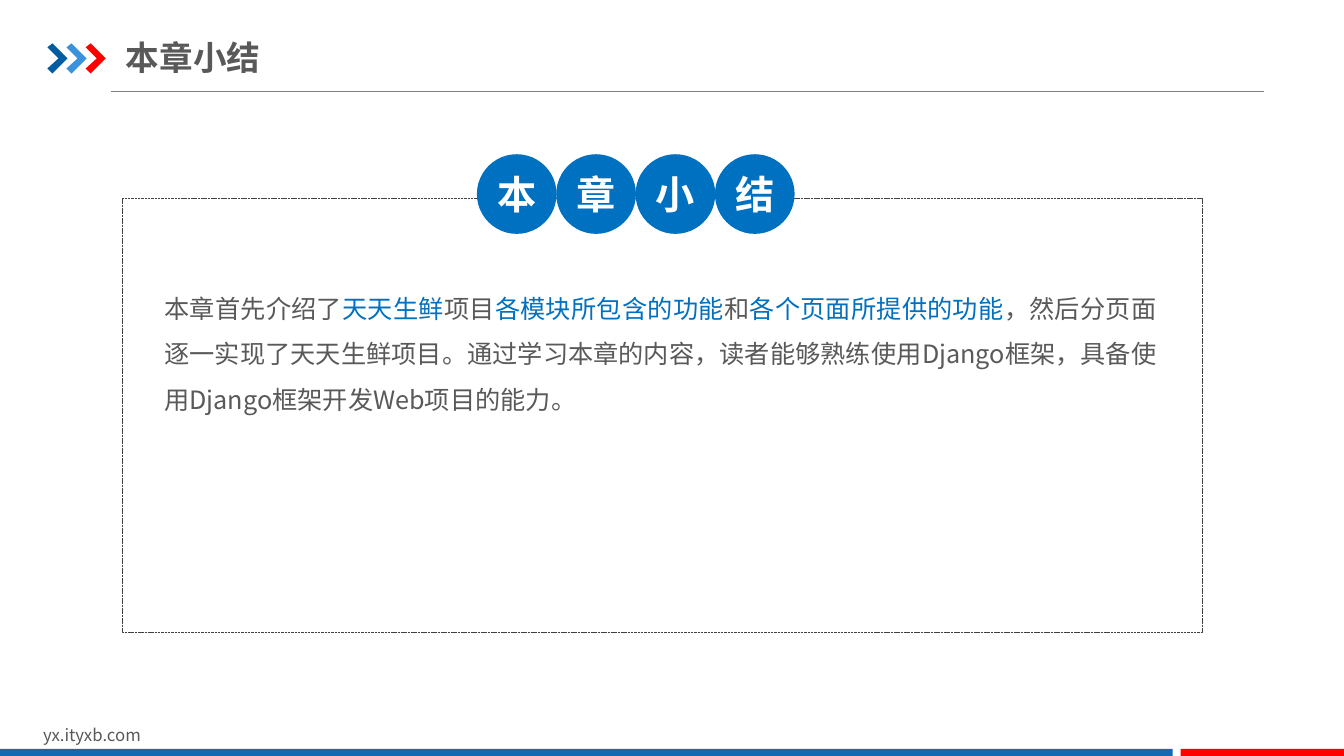
"""Build the chapter summary slide."""
from lxml import etree
from pptx import Presentation
from pptx.dml.color import RGBColor
from pptx.enum.dml import MSO_LINE
from pptx.enum.shapes import MSO_CONNECTOR, MSO_SHAPE
from pptx.enum.text import MSO_ANCHOR, PP_ALIGN
from pptx.oxml.ns import qn
from pptx.util import Inches, Pt

RECT, ROUND_RECT, OVAL = MSO_SHAPE.RECTANGLE, MSO_SHAPE.ROUNDED_RECTANGLE, MSO_SHAPE.OVAL
STRAIGHT = MSO_CONNECTOR.STRAIGHT
DASH = MSO_LINE.SQUARE_DOT
MIDDLE = MSO_ANCHOR.MIDDLE
CENTER, JUSTIFY = PP_ALIGN.CENTER, PP_ALIGN.JUSTIFY
FONT = "Noto Sans CJK SC"
COLORS = {
    "text": "595959", "accent": "0070C0", "white": "FFFFFF", "rule": "808080",
    "frame": "404040", "navy": "005DA2", "sky": "3992DB", "red": "FF0000", "bar": "1369B2",
}


def fill_plain(sp, color):
    sp.shadow.inherit = False
    sp.fill.solid()
    sp.fill.fore_color.rgb = RGBColor.from_string(COLORS[color])
    sp.line.fill.background()


def style_run(r, size, color, bold=False):
    r.font.size = Pt(size)
    r.font.bold = bold
    r.font.color.rgb = RGBColor.from_string(COLORS[color])
    r.font.name = FONT
    etree.SubElement(r.font._element, qn("a:ea")).set("typeface", FONT)


prs = Presentation()
prs.slide_width, prs.slide_height = Inches(13.33), Inches(7.5)
s = prs.slides.add_slide(prs.slide_layouts[6])

rule = s.shapes.add_connector(STRAIGHT, Inches(1.1), Inches(0.91), Inches(12.54), Inches(0.91))
rule.line.color.rgb = RGBColor.from_string(COLORS["rule"])
rule.line.width = Pt(0.75)
etree.SubElement(rule._element.spPr, qn("a:effectLst"))

chevron = [(0, 0.47), (0.05, 0.43), (0.2, 0.58), (0.05, 0.73), (0, 0.68), (0.11, 0.58)]
for i, color in enumerate(["navy", "sky", "red"]):
    points = [(Inches(0.47 + 0.19 * i + x), Inches(y)) for x, y in chevron]
    builder = s.shapes.build_freeform(*points[0], scale=1.0)
    builder.add_line_segments(points[1:], close=True)
    fill_plain(builder.convert_to_shape(), color)

site = s.shapes.add_textbox(Inches(0.33), Inches(7.14), Inches(3.18), Inches(0.3))
site.text_frame.word_wrap = True
site.text_frame.text = "yx.ityxb.com"
style_run(site.text_frame.paragraphs[0].runs[0], 12, "text")

for left, width, color in [(0, 11.63, "bar"), (11.71, 1.62, "red")]:
    bar = s.shapes.add_shape(RECT, Inches(left), Inches(7.43), Inches(width), Inches(0.09))
    fill_plain(bar, color)

title = s.shapes.add_textbox(Inches(1.25), Inches(0.29), Inches(6.2), Inches(0.55))
tf = title.text_frame
tf.word_wrap = True
tf.vertical_anchor = MIDDLE
tf.margin_left = tf.margin_right = 0
tf.margin_top = tf.margin_bottom = Inches(0.07)
tf.text = "本章小结"
style_run(tf.paragraphs[0].runs[0], 24, "text", True)

frame = s.shapes.add_shape(ROUND_RECT, Inches(1.21), Inches(1.97), Inches(10.71), Inches(4.3))
frame.adjustments[0] = 0
frame.shadow.inherit = False
frame.fill.background()
frame.line.color.rgb = RGBColor.from_string(COLORS["frame"])
frame.line.width = Pt(0.25)
frame.line.dash_style = DASH

summary = s.shapes.add_textbox(Inches(1.63), Inches(2.76), Inches(9.84), Inches(1.36))
tf = summary.text_frame
tf.word_wrap = True
tf.margin_left = tf.margin_right = tf.margin_top = tf.margin_bottom = 0
p = tf.paragraphs[0]
p.alignment = JUSTIFY
p.line_spacing = 1.5
for text, color in [
    ("本章首先介绍了", "text"),
    ("天天生鲜", "accent"),
    ("项目", "text"),
    ("各模块所包含的功能", "accent"),
    ("和", "text"),
    ("各个页面所提供的功能", "accent"),
    ("，然后分页面逐一实现了天天生鲜项目。通过学习本章的内容，读者能够熟练使用Django框架，"
     "具备使用Django框架开发Web项目的能力。", "text"),
]:
    r = p.add_run()
    r.text = text
    style_run(r, 18, color)

for i, char in enumerate("本章小结"):
    circle = s.shapes.add_shape(
        OVAL, Inches(4.73 + 0.787 * i), Inches(1.53), Inches(0.79), Inches(0.79))
    fill_plain(circle, "accent")
    tf = circle.text_frame
    tf.margin_left = tf.margin_right = 0
    tf.vertical_anchor = MIDDLE
    tf.text = char
    tf.paragraphs[0].alignment = CENTER
    style_run(tf.paragraphs[0].runs[0], 28, "white", True)

prs.save("out.pptx")
